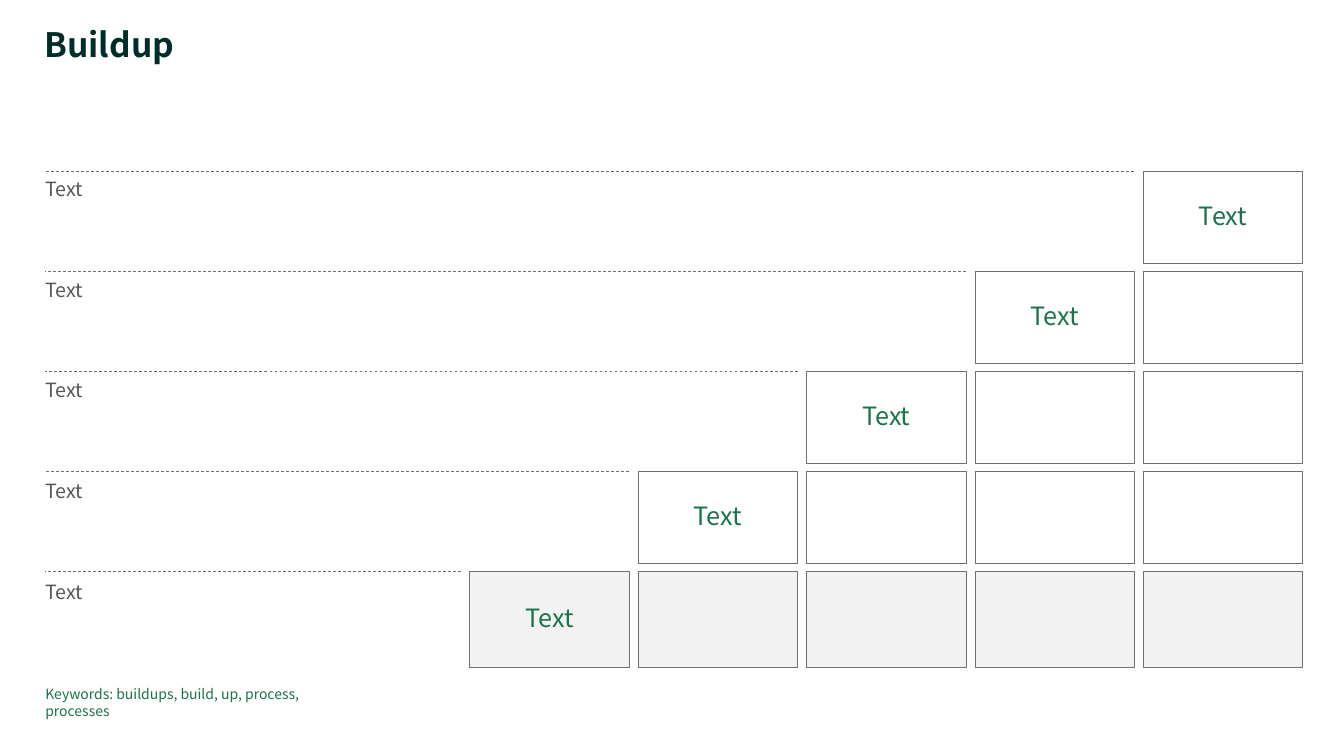
from lxml import etree
from pptx import Presentation
from pptx.dml.color import RGBColor
from pptx.enum.dml import MSO_LINE
from pptx.enum.shapes import MSO_CONNECTOR, MSO_SHAPE
from pptx.enum.text import MSO_ANCHOR, PP_ALIGN
from pptx.oxml.ns import qn
from pptx.util import Inches, Pt

STRAIGHT = MSO_CONNECTOR.STRAIGHT
RECTANGLE = MSO_SHAPE.RECTANGLE
DASH = MSO_LINE.DASH
LEFT, CENTER = PP_ALIGN.LEFT, PP_ALIGN.CENTER
TOP, MIDDLE = MSO_ANCHOR.TOP, MSO_ANCHOR.MIDDLE

FONT = "Noto Sans CJK JP"
DARK_GREEN = RGBColor(0x00, 0x2D, 0x28)
GREEN = RGBColor(0x1A, 0x74, 0x49)
TEXT_GRAY = RGBColor(0x57, 0x57, 0x57)
LINE_GRAY = RGBColor(0x6E, 0x6F, 0x73)
LIGHT_GRAY = RGBColor(0xF2, 0xF2, 0xF2)

STEPS = ["Text"] * 5
LABELS = ["Text"] * 5
LAST = len(STEPS) - 1
MARGIN = 0.45
GRID_TOP, BASE_TOP = 1.7, 5.67
ROW_PITCH = (BASE_TOP - GRID_TOP) / LAST
LAST_COLUMN, COLUMN_PITCH = 11.34, 1.67
BOX_WIDTH, BOX_HEIGHT, BASE_HEIGHT = 1.58, 0.91, 0.95
GAP = 0.09


def write(shape, text, size, color, bold=False, align=LEFT, anchor=TOP,
          inset=0, spacing=0.9, after=0):
    frame = shape.text_frame
    frame.word_wrap = True
    frame.vertical_anchor = anchor
    frame.margin_left = frame.margin_right = Inches(inset)
    frame.margin_top = frame.margin_bottom = Inches(inset)
    para = frame.paragraphs[0]
    para.alignment = align
    para.line_spacing = spacing
    para.space_before = Pt(0)
    para.space_after = Pt(after)
    span = para.add_run()
    span.text = text
    span.font.name = FONT
    span.font.size = Pt(size)
    span.font.bold = bold
    span.font.color.rgb = color


def add_title(page, text):
    title = page.shapes.title
    title.left, title.top = Inches(0.44), Inches(0.28)
    title.width, title.height = Inches(11.03), Inches(0.37)
    write(title, text, size=24, color=DARK_GREEN, bold=True)


def add_label(page, text, top, width, height, **text_format):
    label = page.shapes.add_textbox(
        Inches(MARGIN), Inches(top), Inches(width), Inches(height))
    write(label, text, **text_format)


def add_box(page, left, top, height, fill=None):
    box = page.shapes.add_shape(
        RECTANGLE, Inches(left), Inches(top), Inches(BOX_WIDTH), Inches(height))
    box.shadow.inherit = False
    if fill is None:
        box.fill.background()
    else:
        box.fill.solid()
        box.fill.fore_color.rgb = fill
    box.line.color.rgb = LINE_GRAY
    box.line.width = Pt(0.5)
    return box


def add_dashed_line(page, right, top):
    rule = page.shapes.add_connector(
        STRAIGHT, Inches(right), Inches(top), Inches(MARGIN), Inches(top))
    rule.line.color.rgb = LINE_GRAY
    rule.line.width = Pt(0.5)
    rule.line.dash_style = DASH
    etree.SubElement(rule._element.spPr, qn("a:effectLst"))


def add_row(page, row):
    """Add one level: its boxes from the staircase to the right edge, and its label."""
    top = GRID_TOP + row * ROW_PITCH
    is_base = row == LAST
    height = BASE_HEIGHT if is_base else BOX_HEIGHT
    fill = LIGHT_GRAY if is_base else None
    for column in range(row + 1):
        left = LAST_COLUMN - column * COLUMN_PITCH
        box = add_box(page, left, top, height, fill)
        if column == row:
            write(box, STEPS[row], size=18, color=GREEN, align=CENTER,
                  anchor=MIDDLE, inset=0.08, after=3)
            add_dashed_line(page, left - GAP, top)
    add_label(page, LABELS[row], 1.78 + row, 9.59 - row * COLUMN_PITCH, 0.21,
              size=14, color=TEXT_GRAY)


def main():
    deck = Presentation()
    deck.slide_width, deck.slide_height = Inches(13.33), Inches(7.5)
    page = deck.slides.add_slide(deck.slide_layouts.get_by_name("Title Only"))
    add_title(page, "Buildup")
    for row in range(len(STEPS)):
        add_row(page, row)
    add_label(page, "Keywords: buildups, build, up, process, processes",
              6.8, 3.13, 0.17, size=10, color=GREEN, spacing=1.0, after=1.1)
    deck.save("out.pptx")


if __name__ == "__main__":
    main()
